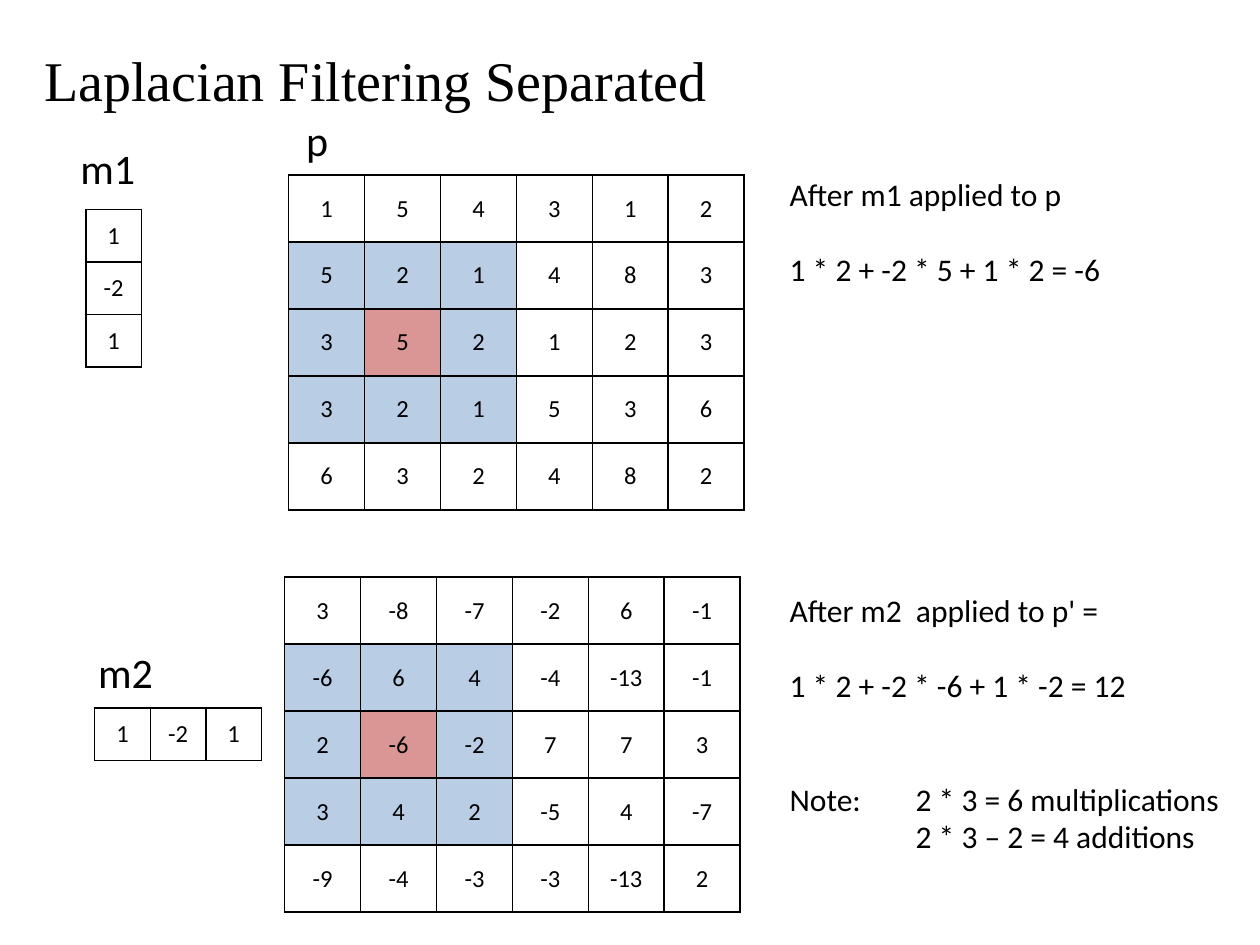
from lxml.etree import SubElement
from pptx import Presentation
from pptx.dml.color import RGBColor
from pptx.enum.text import MSO_ANCHOR as Anchor, PP_ALIGN as Align
from pptx.oxml.ns import qn
from pptx.util import Cm, Pt

COLORS = {"ink": "000000", "window": "B9CDE5", "center": "D99694"}


def style_paragraph(paragraph, size, name="Calibri"):
    paragraph.font.size = Pt(size)
    paragraph.font.name = name
    paragraph.font.color.rgb = RGBColor.from_string(COLORS["ink"])


def add_grid(slide, left, top, cell_width, cell_height, rows, margin=None, fills=None):
    """Add a table of centred numbers; fills maps (row, column) to a colour name."""
    fills = fills or {}
    row_count, column_count = len(rows), len(rows[0])
    table = slide.shapes.add_table(
        row_count, column_count, Cm(left), Cm(top),
        Cm(cell_width * column_count), Cm(cell_height * row_count)).table
    table.first_row = table.horz_banding = False
    for column in table.columns:
        column.width = Cm(cell_width)
    for row in table.rows:
        row.height = Cm(cell_height)
    for r, values in enumerate(rows):
        for c, value in enumerate(values):
            cell = table.cell(r, c)
            cell.text = str(value)
            cell.vertical_anchor = Anchor.MIDDLE
            if margin is not None:
                cell.margin_left = cell.margin_right = cell.margin_top = Cm(margin)
                cell.margin_bottom = 0
            paragraph = cell.text_frame.paragraphs[0]
            paragraph.alignment = Align.CENTER
            style_paragraph(paragraph, 14)

            # Borders come before the fill in the cell properties
            properties = cell._tc.get_or_add_tcPr()
            for side in ("a:lnL", "a:lnR", "a:lnT", "a:lnB"):
                line = SubElement(properties, qn(side), w=str(Pt(1)))
                solid = SubElement(line, qn("a:solidFill"))
                SubElement(solid, qn("a:srgbClr"), val=COLORS["ink"])
            if (r, c) in fills:
                cell.fill.solid()
                cell.fill.fore_color.rgb = RGBColor.from_string(COLORS[fills[r, c]])
            else:
                cell.fill.background()


presentation = Presentation()
presentation.slide_width, presentation.slide_height = Cm(25.4), Cm(19.05)
slide = presentation.slides.add_slide(presentation.slide_layouts[5])

# Title
title = slide.shapes.title
title.left, title.top, title.width, title.height = Cm(0.64), Cm(0.43), Cm(15.88), Cm(2.34)
title.text_frame.text = "Laplacian Filtering Separated"
title.text_frame.vertical_anchor = Anchor.MIDDLE
title.text_frame.paragraphs[0].alignment = Align.LEFT
style_paragraph(title.text_frame.paragraphs[0], 32, "Times New Roman")

# Names of the matrices
for name, left, top, width, wraps in (
        ("p", 5.92, 2.18, 1.55, False),
        ("m1", 1.37, 2.74, 2.18, True),
        ("m2", 1.73, 12.9, 2.18, True)):
    label = slide.shapes.add_textbox(Cm(left), Cm(top), Cm(width), Cm(1.27))
    label.text_frame.word_wrap = wraps
    label.text_frame.text = name
    style_paragraph(label.text_frame.paragraphs[0], 24)

# Filter masks m1 (column) and m2 (row)
mask = [1, -2, 1]
add_grid(slide, 1.73, 4.22, 1.12, 1.06, [[value] for value in mask])
add_grid(slide, 1.91, 14.27, 1.12, 1.06, [mask])

# Image p and its state after m1, with the 3 x 3 window marked
window = {(r, c): "window" for r in (1, 2, 3) for c in (0, 1, 2)}
window[2, 1] = "center"
image = [
    [1, 5, 4, 3, 1, 2],
    [5, 2, 1, 4, 8, 3],
    [3, 5, 2, 1, 2, 3],
    [3, 2, 1, 5, 3, 6],
    [6, 3, 2, 4, 8, 2],
]
filtered = [
    [3, -8, -7, -2, 6, -1],
    [-6, 6, 4, -4, -13, -1],
    [2, -6, -2, 7, 7, 3],
    [3, 4, 2, -5, 4, -7],
    [-9, -4, -3, -3, -13, 2],
]
add_grid(slide, 5.82, 3.53, 1.53, 1.35, image, fills=window)
add_grid(slide, 5.74, 11.63, 1.53, 1.35, filtered, margin=0.02, fills=window)

# Worked steps: text and the number of line heights left free above it
LINE_HEIGHT = 21.6
steps = [
    ("After m1 applied to p", 0),
    ("1 * 2 + -2 * 5 + 1 * 2 = -6", 1),
    ("After m2  applied to p' =", 8),
    ("1 * 2 + -2 * -6 + 1 * -2 = 12", 1),
    ("Note:\t2 * 3 = 6 multiplications", 2),
    ("\t2 * 3 – 2 = 4 additions", 0),
]
notes = slide.shapes.add_textbox(Cm(15.67), Cm(3.4), Cm(9.32), Cm(14.88))
notes.text_frame.word_wrap = True
notes.text_frame.text = "\n".join(text for text, _ in steps)
for paragraph, (text, free_lines) in zip(notes.text_frame.paragraphs, steps):
    if "\t" in text:
        tabs = SubElement(paragraph._p.get_or_add_pPr(), qn("a:tabLst"))
        SubElement(tabs, qn("a:tab"), pos=str(Cm(2.54)), algn="l")
    if free_lines:
        paragraph.space_before = Pt(free_lines * LINE_HEIGHT)
    style_paragraph(paragraph, 18)

presentation.save("out.pptx")
